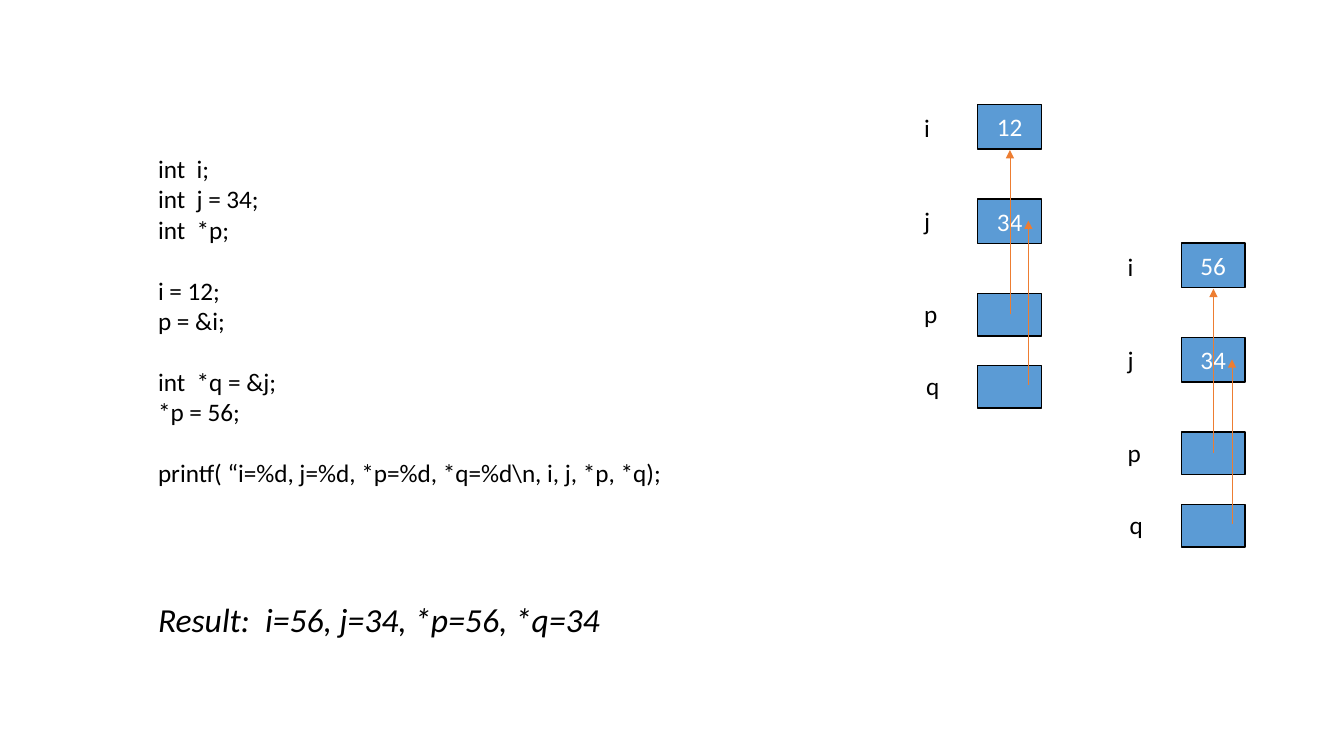
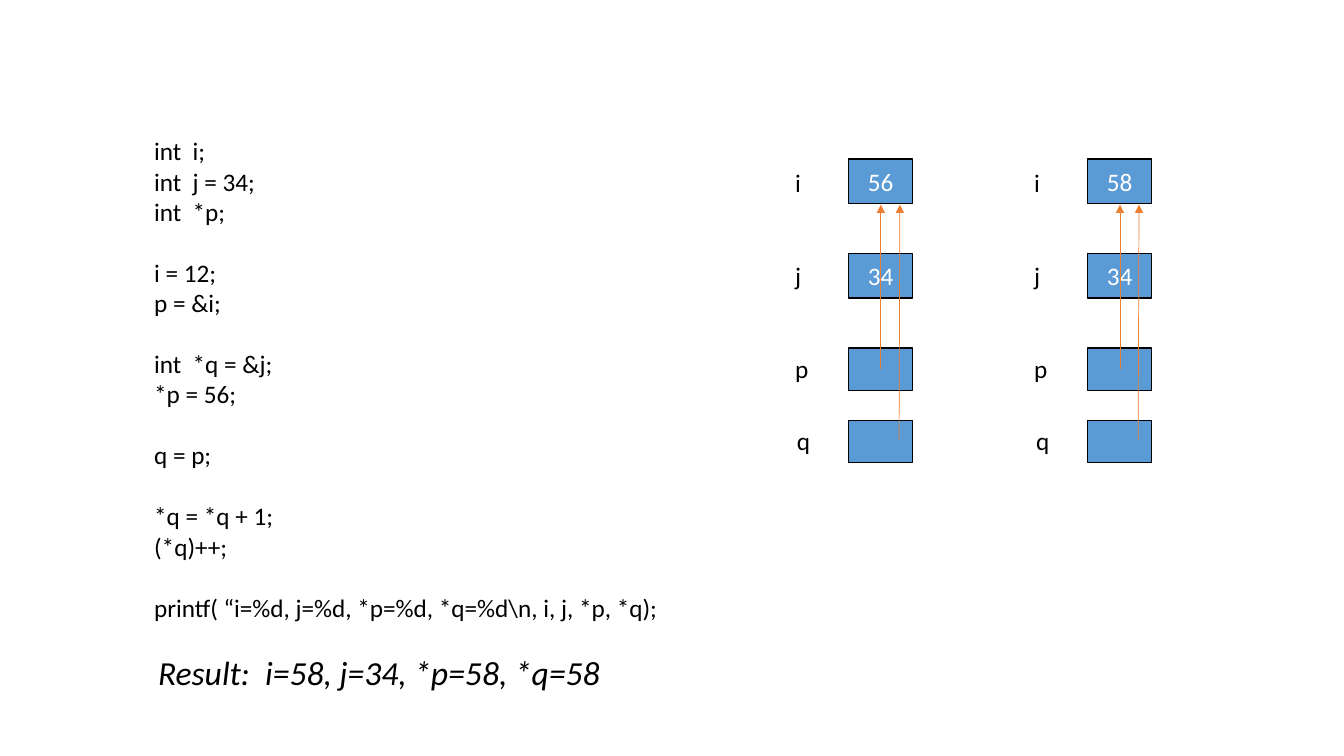
from dataclasses import dataclass

import lxml.etree
import pptx
import pptx.dml.color
import pptx.enum.shapes
import pptx.enum.text
import pptx.oxml.ns
import pptx.util

BLACK = pptx.dml.color.RGBColor(0x00, 0x00, 0x00)
WHITE = pptx.dml.color.RGBColor(0xFF, 0xFF, 0xFF)
BLUE = pptx.dml.color.RGBColor(0x5B, 0x9B, 0xD5)
ORANGE = pptx.dml.color.RGBColor(0xED, 0x7D, 0x31)

FONT = "Calibri"
SIZE = 18
GAP = 22  # one blank line of code
BOX_WIDTH = 45.6


@dataclass(frozen=True)
class Row:
    """One named cell: places are measured from the top left box."""
    name: str
    top: float
    height: float
    indent: float = 0


@dataclass(frozen=True)
class Arrow:
    start: tuple[float, float]
    end: tuple[float, float]


@dataclass(frozen=True)
class Stack:
    """The state of the memory at one step."""
    left: float
    top: float
    values: tuple[str, str]
    arrows: tuple[Arrow, Arrow]


@dataclass(frozen=True)
class Page:
    code_left: float
    code_top: float
    code: list[list[str]]
    result: str
    result_top: float
    stacks: list[Stack]


ROWS = [
    Row("i", 0, 31.8),
    Row("j", 67.5, 31.8),
    Row("p", 135, 30.4),
    Row("q", 186.6, 30.4, 1.4),
]

# Pointer arrows, from the box of p or q to its target
P_TO_I = Arrow((23, 150), (23, 32.6))
Q_TO_J = Arrow((36.2, 200.4), (36.2, 83))
Q_TO_I = Arrow((36, 200.4), (36.6, 32.6))

# Code that both slides share, in blocks set apart by a gap
START = [
    ["int  i;", "int  j = 34;", "int  *p;"],
    ["i = 12;", "p = &i;"],
    ["int  *q = &j;", "*p = 56;"],
]
MOVE = [["q = p;"], ["*q = *q + 1;", "(*q)++;"]]
PRINT = [["printf( “i=%d, j=%d, *p=%d, *q=%d\\n, i, j, *p, *q);"]]

PAGES = [
    Page(105.8, 106, START + PRINT,
         "Result:  i=56, j=34, *p=56, *q=34", 424.3,
         [Stack(698.4, 74.6, ("12", "34"), (P_TO_I, Q_TO_J)),
          Stack(843.8, 173.7, ("56", "34"), (P_TO_I, Q_TO_J))]),
    Page(103, 93.4, START + MOVE + PRINT,
         "Result:  i=58, j=34, *p=58, *q=58", 462.4,
         [Stack(606.2, 113.6, ("56", "34"), (P_TO_I, Q_TO_I)),
          Stack(777, 113.6, ("58", "34"), (P_TO_I, Q_TO_I))]),
]


def style(para, color=BLACK, size: float = SIZE, italic: bool = False) -> None:
    para.font.name = FONT
    para.font.size = pptx.util.Pt(size)
    para.font.color.rgb = color
    para.font.italic = italic


def add_text(shapes, left: float, top: float, width: float, height: float,
             blocks: list[list[str]], size: float = SIZE,
             italic: bool = False, wrap: bool = True) -> None:
    box = shapes.add_textbox(*map(pptx.util.Pt, (left, top, width, height)))
    frame = box.text_frame
    frame.word_wrap = wrap
    frame.text = "\n".join(line for block in blocks for line in block)
    for para in frame.paragraphs:
        style(para, size=size, italic=italic)
    # Leave a gap before each block but the first
    first = 0
    for block in blocks[:-1]:
        first += len(block)
        frame.paragraphs[first].space_before = pptx.util.Pt(GAP)


def add_box(shapes, left: float, top: float, height: float, value: str) -> None:
    box = shapes.add_shape(
        pptx.enum.shapes.MSO_SHAPE.RECTANGLE,
        *map(pptx.util.Pt, (left, top, BOX_WIDTH, height)))
    box.shadow.inherit = False
    box.fill.solid()
    box.fill.fore_color.rgb = BLUE
    box.line.color.rgb = BLACK
    box.line.width = pptx.util.Pt(1)
    if value:
        frame = box.text_frame
        frame.text = value
        frame.vertical_anchor = pptx.enum.text.MSO_ANCHOR.MIDDLE
        para = frame.paragraphs[0]
        para.alignment = pptx.enum.text.PP_ALIGN.CENTER
        style(para, WHITE)


def add_arrow(shapes, left: float, top: float, arrow: Arrow) -> None:
    ends = [base + shift for point in (arrow.start, arrow.end)
            for base, shift in zip((left, top), point)]
    line = shapes.add_connector(
        pptx.enum.shapes.MSO_CONNECTOR.STRAIGHT, *map(pptx.util.Pt, ends))
    line.line.color.rgb = ORANGE
    line.line.width = pptx.util.Pt(0.5)
    # Arrowhead and no shadow
    name = pptx.oxml.ns.qn
    props = line.element.spPr
    lxml.etree.SubElement(props.find(name("a:ln")), name("a:tailEnd"),
                          type="triangle")
    lxml.etree.SubElement(props, name("a:effectLst"))


def add_stack(slide, stack: Stack) -> None:
    shapes = slide.shapes.add_group_shape().shapes
    values = stack.values + ("", "")  # p and q show arrows only
    for row, value in zip(ROWS, values):
        top = stack.top + row.top
        add_box(shapes, stack.left, top, row.height, value)
        nudge = 2.2 if value == stack.values[0] else 1 if value else 0
        add_text(shapes, stack.left - 45.4 + row.indent, top + nudge,
                 25.2, 29, [[row.name]], wrap=False)
    for arrow in stack.arrows:
        add_arrow(shapes, stack.left, stack.top, arrow)


def add_page(deck, page: Page) -> None:
    slide = deck.slides.add_slide(deck.slide_layouts.get_by_name("Blank"))
    lines = sum(map(len, page.code)) + len(page.code) - 1
    add_text(slide.shapes, page.code_left, page.code_top,
             400.4, lines * GAP + 7.2, page.code)
    for stack in page.stacks:
        add_stack(slide, stack)
    add_text(slide.shapes, 105.8, page.result_top, 480, 36.4,
             [[page.result]], size=24, italic=True)


def main() -> None:
    deck = pptx.Presentation()
    deck.slide_width = pptx.util.Pt(960)
    deck.slide_height = pptx.util.Pt(540)
    for page in PAGES:
        add_page(deck, page)
    deck.save("out.pptx")


if __name__ == "__main__":
    main()
